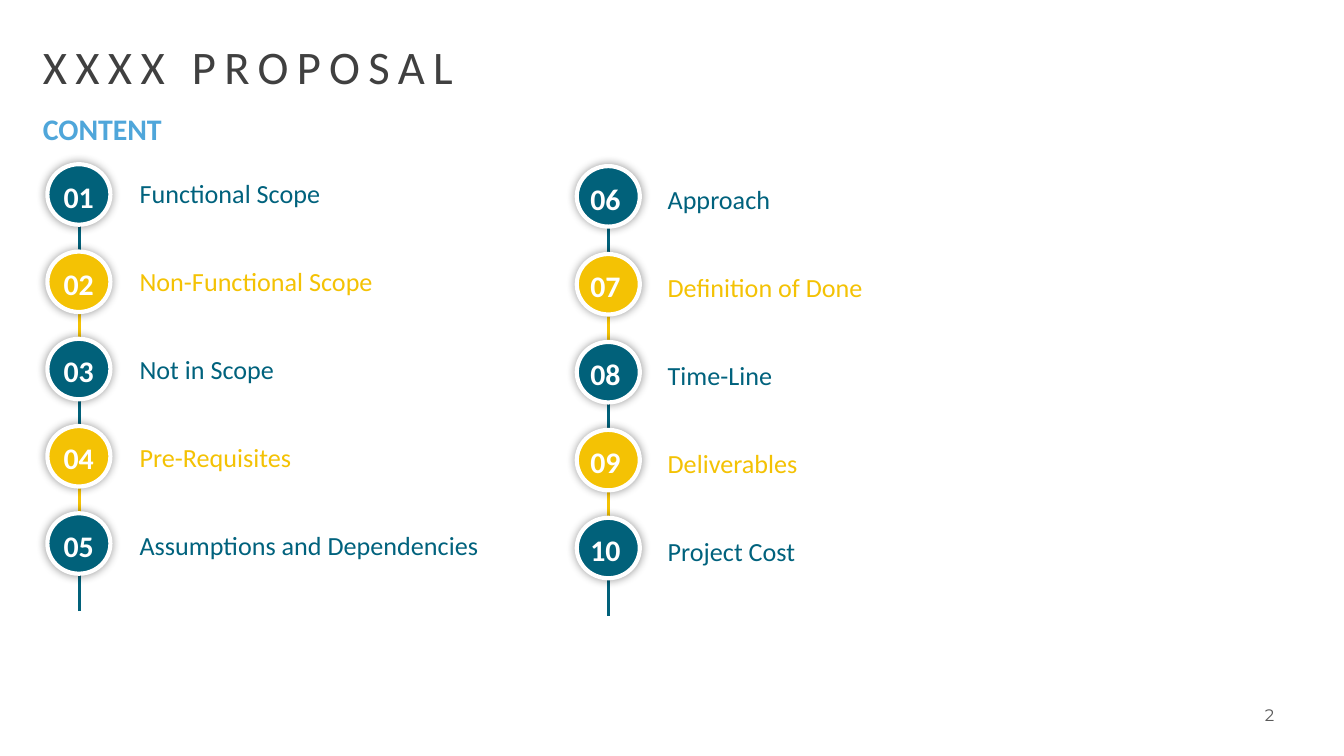
from dataclasses import dataclass

from lxml import etree
from pptx import Presentation
from pptx import util as u
from pptx.dml.color import RGBColor
from pptx.enum import shapes, text
from pptx.oxml import ns

Pt = u.Pt


@dataclass(frozen=True)
class Theme:
    """Colours, fonts and type sizes of the deck."""
    teal: str = "01617A"
    label_teal: str = "00627D"
    yellow: str = "F4C204"
    sky: str = "4FA6DA"
    white: str = "FFFFFF"
    black: str = "000000"
    dark: str = "404040"
    grey: str = "595959"
    font: str = "Calibri"
    number_font: str = "Montserrat"
    title_size: float = 25
    heading_size: float = 16
    label_size: float = 14
    page_size: float = 8.9


class AgendaSlide:
    """Draws the elements of an agenda slide in one style."""

    def __init__(self, prs, theme):
        self.theme = theme
        self.s = prs.slides.add_slide(prs.slide_layouts[2])

    def set_text(self, sp, words, size, color, bold=False, font=None,
                 align=text.PP_ALIGN.LEFT, anchor=text.MSO_ANCHOR.TOP):
        tf = sp.text_frame
        tf.text = words
        tf.word_wrap = True
        tf.auto_size = text.MSO_AUTO_SIZE.NONE
        tf.vertical_anchor = anchor
        p = tf.paragraphs[0]
        p.alignment = align
        p.space_before = Pt(0)
        r = p.runs[0]
        r.font.name = font or self.theme.font
        r.font.size = Pt(size)
        r.font.bold = bold
        r.font.color.rgb = RGBColor.from_string(color)
        return p, r

    def place(self, sp, left, top, width, height):
        sp.left, sp.top, sp.width, sp.height = map(Pt, (left, top, width, height))

    def title(self, words, *box):
        sp = self.s.shapes.title
        self.place(sp, *box)
        p, r = self.set_text(sp, words, self.theme.title_size, self.theme.dark,
                             anchor=text.MSO_ANCHOR.BOTTOM)
        r.font._element.set("spc", "450")

    def heading(self, words, *box):
        sp = self.s.placeholders[1]
        self.place(sp, *box)
        p, r = self.set_text(sp, words, self.theme.heading_size, self.theme.sky, bold=True)
        p.line_spacing = 1.5
        r.font.fill.gradient()
        r.font.fill.gradient_angle = 270
        for stop, color in zip(r.font.fill.gradient_stops, (self.theme.sky, self.theme.teal)):
            stop.color.rgb = RGBColor.from_string(color)

    def text_box(self, words, box, size, color, **style):
        sp = self.s.shapes.add_textbox(*map(Pt, box))
        self.set_text(sp, words, size, color, **style)

    def line(self, x, top, bottom, color):
        sp = self.s.shapes.add_connector(
            shapes.MSO_CONNECTOR.STRAIGHT, Pt(x), Pt(bottom), Pt(x), Pt(top))
        sp.line.color.rgb = RGBColor.from_string(color)
        sp.line.width = Pt(1.5)
        etree.SubElement(sp._element.spPr, ns.qn("a:effectLst"))

    def circle(self, color, *box):
        sp = self.s.shapes.add_shape(shapes.MSO_SHAPE.OVAL, *map(Pt, box))
        sp.fill.solid()
        sp.fill.fore_color.rgb = RGBColor.from_string(color)
        sp.line.color.rgb = RGBColor.from_string(self.theme.white)
        sp.line.width = Pt(2.25)
        sp.shadow.inherit = False
        effects = sp._element.spPr.find(ns.qn("a:effectLst"))
        shadow = etree.SubElement(effects, ns.qn("a:outerShdw"), blurRad=str(Pt(5)),
                                  dist="0", dir="0", algn="ctr", rotWithShape="0")
        tint = etree.SubElement(shadow, ns.qn("a:srgbClr"), val=self.theme.black)
        etree.SubElement(tint, ns.qn("a:alpha"), val="40000")

    def agenda(self, first, labels, left, top, step, number_left, label_left, label_top):
        th = self.theme
        for i, label in enumerate(labels):
            y = top + i * step
            fill, ink = (th.yellow, th.yellow) if i % 2 else (th.teal, th.label_teal)
            self.line(left + 17, y + 33, y + 52.4, fill)
            self.circle(fill, left, y, 33.8, 32.4)
            self.text_box(f"{first + i:02}", (number_left, y + 4, 35.3, 26), th.heading_size,
                          th.white, bold=True, align=text.PP_ALIGN.CENTER)
            self.text_box(label, (label_left, label_top + i * 47.15, 250, 24.2),
                          th.label_size, ink)

    def page_number(self, words, *box):
        self.text_box(words, box, self.theme.page_size, self.theme.grey,
                      font=self.theme.number_font, align=text.PP_ALIGN.RIGHT,
                      anchor=text.MSO_ANCHOR.MIDDLE)


def main():
    prs = Presentation()
    prs.slide_width, prs.slide_height = Pt(720), Pt(405)
    slide = AgendaSlide(prs, Theme())
    slide.title("XXXX PROPOSAL", 15.8, 24.5, 625, 29.5)
    slide.heading("CONTENT", 15.8, 46.1, 687.6, 26.6)
    slide.agenda(1, ("Functional Scope", "Non-Functional Scope", "Not in Scope",
                     "Pre-Requisites", "Assumptions and Dependencies"),
                 25.4, 88, 46.75, 24.5, 67.7, 91.6)
    slide.agenda(6, ("Approach", "Definition of Done", "Time-Line",
                     "Deliverables", "Project Cost"),
                 309, 89, 47.1, 306.7, 350.6, 94.6)
    slide.page_number("2", 573.1, 368.6, 116.6, 28.8)
    prs.save("out.pptx")


if __name__ == "__main__":
    main()
